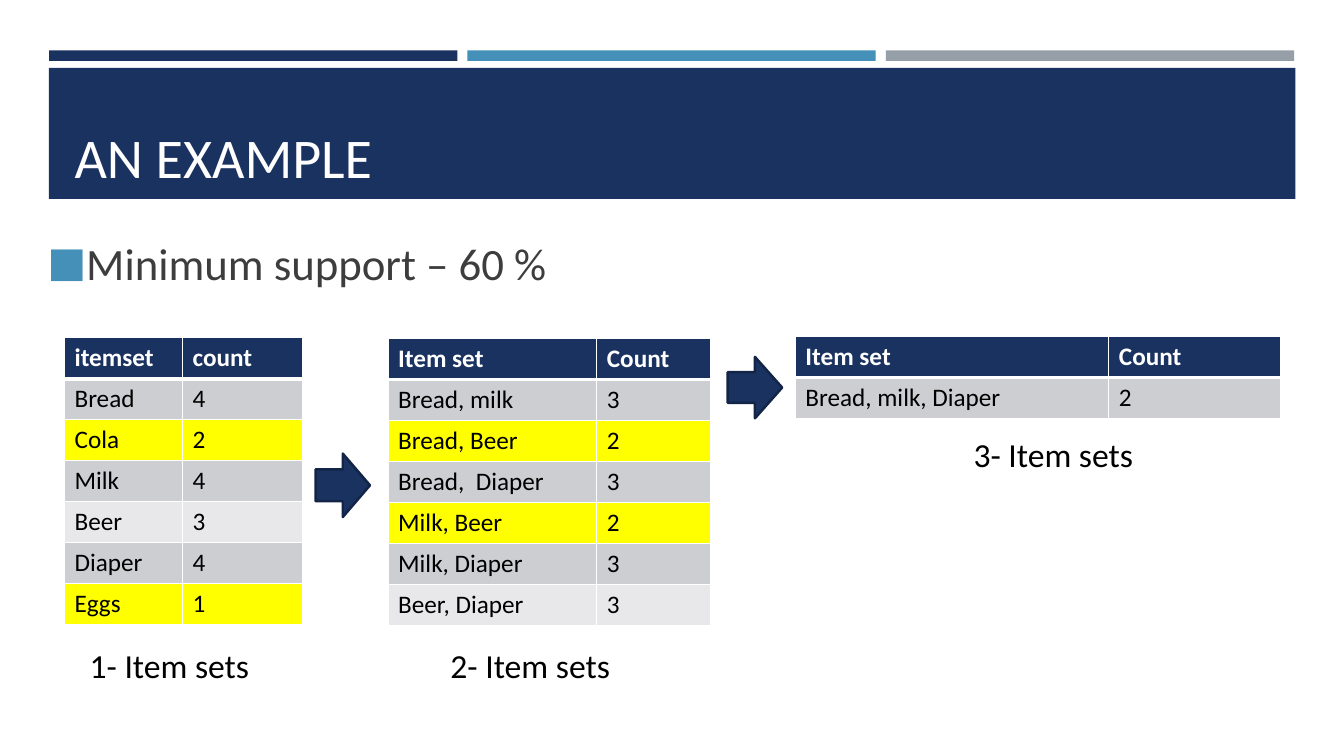
from dataclasses import dataclass

from lxml.etree import SubElement as Sub
from pptx import Presentation
from pptx.dml.color import RGBColor
from pptx.enum.shapes import MSO_SHAPE as Kind
from pptx.enum.text import MSO_ANCHOR as Anchor, MSO_AUTO_SIZE as Fit, PP_ALIGN as Align
from pptx.oxml.ns import qn
from pptx.util import Inches, Pt

WIDE, HIGH = Inches(13.333), Inches(7.5)
NAVY, BLUE, GREY, EDGE = "1A3260", "4590B8", "969FA7", "132547"
WHITE, BLACK, DARK, GOLD = "FFFFFF", "000000", "3D3D3D", "FFFF00"
BANDS = ("E8E8EA", "CDCED2")
FONT = "Calibri"
ROW = 5.42


@dataclass
class Box:
    """A frame in percent of the slide's width and height."""
    x: float
    y: float
    w: float
    h: float

    def emu(self) -> tuple[int, int, int, int]:
        """Return left, top, width and height."""
        return (int(WIDE * self.x / 100), int(HIGH * self.y / 100),
                int(WIDE * self.w / 100), int(HIGH * self.h / 100))


@dataclass
class Grid:
    """A table of item sets, with counts under low marked."""
    x: float
    y: float
    cols: tuple[float, float]
    head: tuple[str, str]
    rows: list[tuple[str, int]]
    low: int = 0


@dataclass
class Label:
    """A caption under a table."""
    text: str
    x: float
    y: float


BARS = [(Box(3.65 + 31.13 * i, 6.67, 30.38, 1.4), hue)
        for i, hue in enumerate((NAVY, BLUE, GREY))]
BARS.append((Box(3.63, 8.97, 92.75, 17.35), NAVY))

GRIDS = [
    Grid(4.8, 44.67, (8.78, 8.96), ("itemset", "count"),
         [("Bread", 4), ("Cola", 2), ("Milk", 4), ("Beer", 3),
          ("Diaper", 4), ("Eggs", 1)], low=3),
    Grid(28.88, 44.8, (15.53, 8.48), ("Item set", "Count"),
         [("Bread, milk", 3), ("Bread, Beer", 2), ("Bread,  Diaper", 3),
          ("Milk, Beer", 2), ("Milk, Diaper", 3), ("Beer, Diaper", 3)], low=3),
    Grid(59.18, 44.53, (23.33, 12.75), ("Item set", "Count"),
         [("Bread, milk, Diaper", 2)]),
]
LABELS = [Label("1- Item sets", 5.93, 84.67),
          Label("2- Item sets", 32.78, 84.67),
          Label("3- Item sets", 71.7, 56.67)]
ARROWS = [Box(23.48, 60, 4.05, 8.4), Box(54.15, 47.2, 4.05, 8.13)]


def paint(part, hue: str) -> None:
    """Give a fill one solid colour."""
    part.solid()
    part.fore_color.rgb = RGBColor.from_string(hue)


def style(para, size: float, hue: str, bold: bool = False) -> None:
    """Set the font of a paragraph."""
    font = para.font
    font.name, font.size, font.bold = FONT, Pt(size), bold
    paint(font.fill, hue)


def place(shape, box: Box) -> None:
    """Move a shape to a frame."""
    shape.left, shape.top, shape.width, shape.height = box.emu()


def block(shapes, kind: Kind, box: Box, hue: str, edge: str = ""):
    """Add a filled preset shape, outlined if an edge is given."""
    shape = shapes.add_shape(kind, *box.emu())
    shape.shadow.inherit = False
    paint(shape.fill, hue)
    if edge:
        paint(shape.line.fill, edge)
        shape.line.width = Pt(1.75)
    else:
        shape.line.fill.background()
    return shape


def border(cell, row: int) -> None:
    """Draw white cell borders, thick below the head row."""
    props = cell._tc.get_or_add_tcPr()
    thick = {("T", 1), ("B", 0)}
    for side in "LRTB":
        width = Pt(3 if (side, row) in thick else 1)
        line = Sub(props, qn(f"a:ln{side}"), w=str(width))
        Sub(Sub(line, qn("a:solidFill")), qn("a:srgbClr"), val=WHITE)


def table(shapes, grid: Grid) -> None:
    """Add a table with its head and banded rows."""
    lines = [grid.head, *grid.rows]
    box = Box(grid.x, grid.y, sum(grid.cols), ROW * len(lines))
    tab = shapes.add_table(len(lines), len(grid.cols), *box.emu()).table
    for col, share in zip(tab.columns, grid.cols):
        col.width = int(WIDE * share / 100)
    for r, line in enumerate(lines):
        if r == 0:
            hue = NAVY
        else:
            hue = GOLD if line[1] < grid.low else BANDS[r % 2]
        for c, value in enumerate(line):
            cell = tab.cell(r, c)
            cell.text = str(value)
            border(cell, r)
            paint(cell.fill, hue)
            style(cell.text_frame.paragraphs[0], 18,
                  BLACK if r else WHITE, bold=r == 0)


def label(shapes, item: Label) -> None:
    """Add a caption."""
    frame = shapes.add_textbox(*Box(item.x, item.y, 13.58, 6.67).emu()).text_frame
    frame.word_wrap = False
    frame.text = item.text
    style(frame.paragraphs[0], 24, BLACK)


def bullet(para) -> None:
    """Give a paragraph a square bullet and a hanging indent."""
    props = para._p.get_or_add_pPr()
    props.set("marL", str(Inches(0.33)))
    props.set("indent", str(-Inches(0.33)))
    Sub(Sub(props, qn("a:buClr")), qn("a:srgbClr"), val=BLUE)
    Sub(props, qn("a:buSzPct"), val="92000")
    Sub(props, qn("a:buFont"), typeface=FONT)
    Sub(props, qn("a:buChar"), char="■")


def write(shape, box: Box, text: str, anchor: Anchor):
    """Place and fill a placeholder, and return its paragraph."""
    place(shape, box)
    frame = shape.text_frame
    frame.text = text
    frame.auto_size = Fit.NONE
    frame.vertical_anchor = anchor
    frame.margin_bottom = 0
    para = frame.paragraphs[0]
    para.alignment = Align.LEFT
    return para


def main() -> None:
    """Build and save the slide."""
    deck = Presentation()
    deck.slide_width, deck.slide_height = WIDE, HIGH
    slide = deck.slides.add_slide(deck.slide_layouts[1])
    shapes = slide.shapes
    title, body = slide.placeholders

    for box, hue in BARS:
        bar = block(shapes, Kind.RECTANGLE, box, hue)
        title.element.addprevious(bar.element)
    para = write(title, Box(4.8, 10.27, 90.45, 14.8), "AN EXAMPLE", Anchor.BOTTOM)
    style(para, 40, WHITE)
    para = write(body, Box(2.78, 30.47, 90.45, 8.13),
                 "Minimum support – 60 %", Anchor.TOP)
    para.space_before = Pt(0)
    bullet(para)
    style(para, 32, DARK)

    for grid in GRIDS:
        table(shapes, grid)
    for item in LABELS:
        label(shapes, item)
    for box in ARROWS:
        block(shapes, Kind.RIGHT_ARROW, box, NAVY, EDGE)
    deck.save("out.pptx")


if __name__ == "__main__":
    main()
